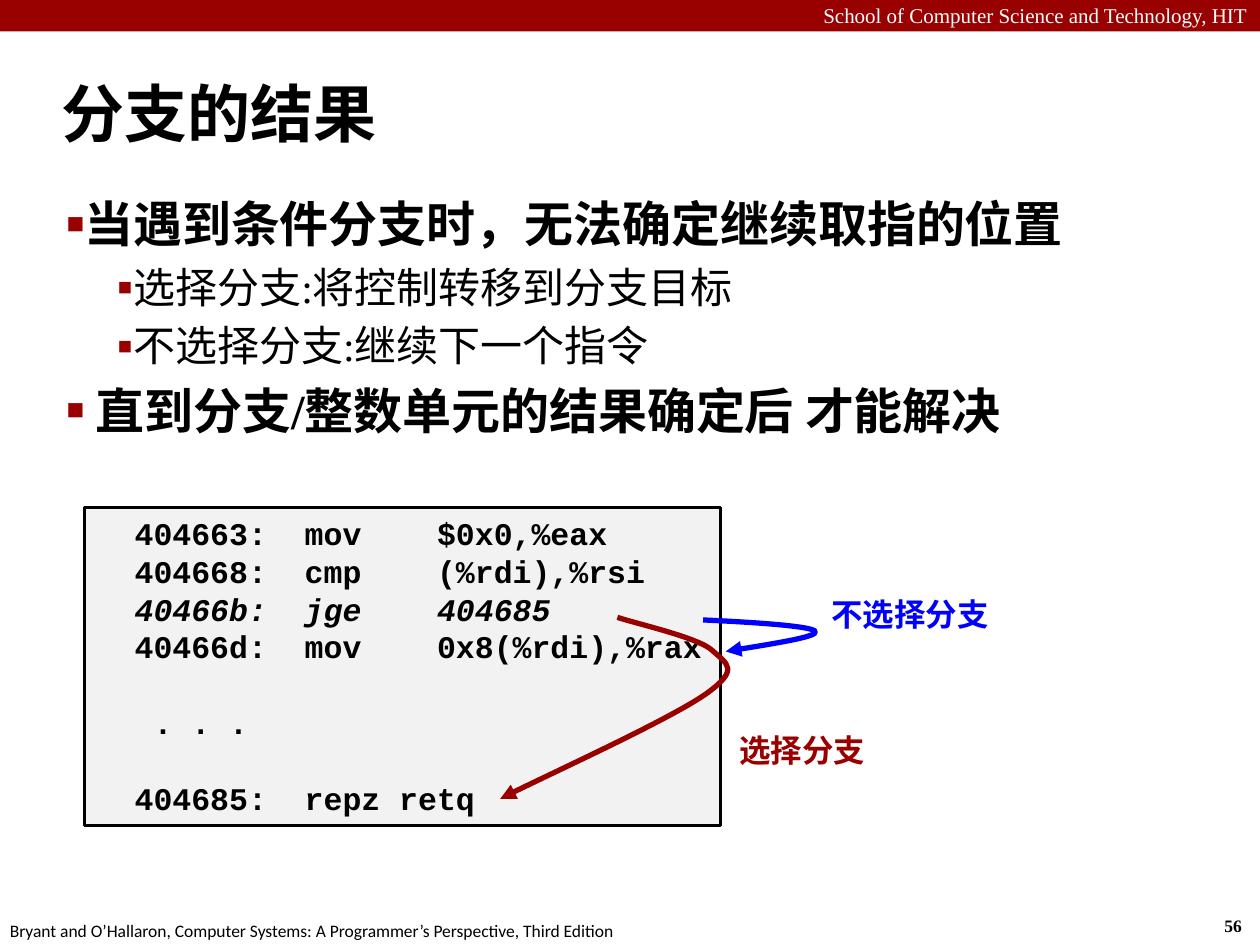
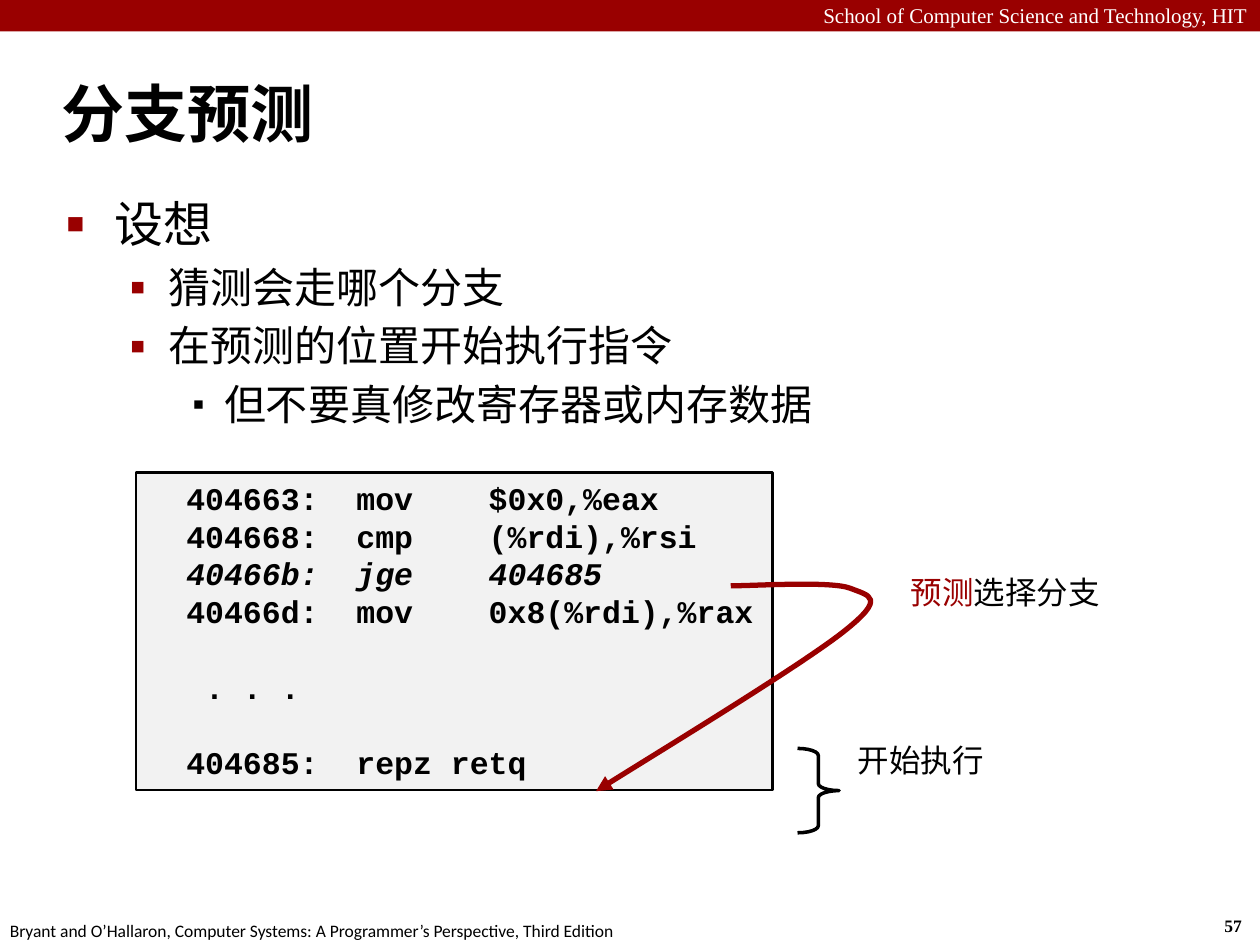
from dataclasses import dataclass

from lxml import etree
from pptx import Presentation
from pptx import util as u
from pptx.dml.color import RGBColor
from pptx.enum import lang, shapes, text
from pptx.oxml.ns import qn


@dataclass(frozen=True)
class Theme:
    red: str = "990000"
    blue: str = "0000FF"
    black: str = "000000"
    white: str = "FFFFFF"
    panel: str = "F2F2F2"
    serif: str = "Times New Roman"
    sans: str = "Calibri"
    narrow: str = "Arial Narrow"
    mono: str = "Courier New"
    title: int = 36
    body: int = 28
    detail: int = 24
    label: int = 18
    header: int = 12
    footer: int = 10
    code_leading: float = 21.6


@dataclass(frozen=True)
class Bullet:
    size: int
    margin: float
    indent: float
    mark: str
    mark_percent: int
    mark_color: str
    bold: bool = False


THEME = Theme()
HEADER = "School of Computer Science and Technology, HIT"
FOOTER = "Bryant and O’Hallaron, Computer Systems: A Programmer’s Perspective, Third Edition"

TIGHT_MAIN = Bullet(THEME.body, 0, -0.31, "■", 60, THEME.red, bold=True)
TIGHT_SUB = Bullet(THEME.detail, 0.44, -0.04, "▪", 110, THEME.red)
MAIN = Bullet(THEME.body, 0.38, -0.38, "■", 60, THEME.red)
SUB = Bullet(THEME.detail, 0.81, -0.31, "▪", 110, THEME.red)
SUB_SUB = Bullet(THEME.detail, 1.25, -0.25, "▪", 80, THEME.black)

# Each line: text, italic, blank lines above
CODE = [
    ("  404663:  mov    $0x0,%eax", False, 0),
    ("  404668:  cmp    (%rdi),%rsi", False, 0),
    ("  40466b:  jge    404685", True, 0),
    ("  40466d:  mov    0x8(%rdi),%rax", False, 0),
    ("   . . .", False, 1),
    ("  404685:  repz retq", False, 1),
]


class SlideWriter:
    def __init__(self, deck, theme):
        self.deck = deck
        self.theme = theme
        self.page = None

    def start(self, title, number):
        """Add a page with its band, header, footer, number and title."""
        t = self.theme
        self.page = self.deck.slides.add_slide(self.deck.slide_layouts[6])
        self.shape(shapes.MSO_SHAPE.RECTANGLE, (0, 0, 10, 0.25), fill=t.red)
        header = self.label((0, -0.03, 10, 0.3), [(HEADER, t.white, t.serif)], t.header, wrap=True)
        header.text_frame.paragraphs[0].alignment = text.PP_ALIGN.RIGHT
        self.label((9.62, 7.21, 0.37, 0.27), [(str(number), t.black, t.serif)], t.footer, bold=True)
        self.label((-0.02, 7.25, 5.08, 0.27), [(FOOTER, t.black, t.sans)], t.footer)
        heading = self.label((0.39, 0.48, 9.61, 0.83), [(title, t.black, t.sans)],
                             t.title, bold=True, wrap=True)
        heading.text_frame.vertical_anchor = text.MSO_ANCHOR.MIDDLE

    def span(self, para, words, size, color, font, bold=False, italic=False):
        span = para.add_run()
        span.text = words
        span.font.name = font
        span.font.size = u.Pt(size)
        span.font.bold = bold
        span.font.italic = italic
        span.font.color.rgb = RGBColor.from_string(color)
        span.font.language_id = lang.MSO_LANGUAGE_ID.SIMPLIFIED_CHINESE

    def paragraphs(self, frame, count):
        return [frame.paragraphs[0]] + [frame.add_paragraph() for _ in range(count - 1)]

    def label(self, place, spans, size, bold=False, wrap=False):
        """Add one line of text; spans are (words, color, font)."""
        box = self.page.shapes.add_textbox(*map(u.Inches, place))
        box.text_frame.word_wrap = wrap
        for words, color, font in spans:
            self.span(box.text_frame.paragraphs[0], words, size, color, font, bold)
        return box

    def bullets(self, items):
        box = self.page.shapes.add_textbox(*map(u.Inches, (0.43, 1.49, 9.4, 5.76)))
        box.text_frame.word_wrap = True
        paras = self.paragraphs(box.text_frame, len(items))
        for para, (bullet, words) in zip(paras, items):
            para.space_before = u.Pt(0.2 * bullet.size)
            self.mark(para, bullet)
            self.span(para, words, bullet.size, self.theme.black, self.theme.serif, bullet.bold)

    def mark(self, para, bullet):
        """Give a paragraph its bullet and hanging indent."""
        props = para._p.get_or_add_pPr()
        props.set("marL", str(u.Inches(bullet.margin)))
        props.set("indent", str(u.Inches(bullet.indent)))
        color = etree.SubElement(props, qn("a:buClr"))
        etree.SubElement(color, qn("a:srgbClr"), val=bullet.mark_color)
        etree.SubElement(props, qn("a:buSzPct"), val=str(bullet.mark_percent * 1000))
        etree.SubElement(props, qn("a:buFont"), typeface="Arial")
        etree.SubElement(props, qn("a:buChar"), char=bullet.mark)

    def shape(self, kind, place, fill=None, line=None, width=1.5):
        shape = self.page.shapes.add_shape(kind, *map(u.Inches, place))
        self.paint(shape, fill, line, width)
        return shape

    def paint(self, shape, fill, line, width):
        shape.shadow.inherit = False
        for part, color in ((shape.fill, fill), (shape.line.fill, line)):
            if color:
                part.solid()
                part.fore_color.rgb = RGBColor.from_string(color)
            else:
                part.background()
        if line:
            shape.line.width = u.Pt(width)

    def code(self, left, top):
        t = self.theme
        panel = self.shape(shapes.MSO_SHAPE.RECTANGLE, (left, top, 5.05, 2.52), t.panel, t.black)
        frame = panel.text_frame
        frame.word_wrap = False
        frame.vertical_anchor = text.MSO_ANCHOR.TOP
        for para, (words, italic, gap) in zip(self.paragraphs(frame, len(CODE)), CODE):
            para.alignment = text.PP_ALIGN.LEFT
            para.line_spacing = u.Pt(t.code_leading)
            para.space_before = u.Pt(gap * t.code_leading)
            self.span(para, words, t.label, t.black, t.mono, bold=True, italic=italic)

    def curved_arrow(self, points, color):
        """Draw cubic curves through a start point and triples of points."""
        (x, y), *rest = points
        builder = self.page.shapes.build_freeform(u.Inches(x), u.Inches(y))
        builder.add_line_segments([(u.Inches(x), u.Inches(y)) for x, y in rest], close=False)
        arrow = builder.convert_to_shape()
        self.paint(arrow, None, color, 3)
        outline = next(arrow._element.iter(qn("a:path")))
        segments = outline.findall(qn("a:lnTo"))
        for first in range(0, len(segments), 3):
            curve = etree.SubElement(outline, qn("a:cubicBezTo"))
            for segment in segments[first:first + 3]:
                curve.append(segment[0])
                outline.remove(segment)
        etree.SubElement(arrow.line._get_or_add_ln(), qn("a:tailEnd"), type="triangle")


def branch_outcome(writer):
    t = writer.theme
    writer.start("分支的结果", 56)
    writer.code(0.67, 4.03)
    writer.curved_arrow([(5.58, 4.92), (6.01, 4.94), (6.44, 4.97), (6.47, 5.01),
                         (6.5, 5.05), (6.13, 5.11), (5.76, 5.17)], t.blue)
    writer.label((6.5, 4.67, 1.46, 0.4), [("不选择分支", t.blue, t.sans)], t.label, bold=True)
    writer.bullets([
        (TIGHT_MAIN, "当遇到条件分支时，无法确定继续取指的位置"),
        (TIGHT_SUB, "选择分支:将控制转移到分支目标"),
        (TIGHT_SUB, "不选择分支:继续下一个指令"),
        (TIGHT_MAIN, " 直到分支/整数单元的结果确定后 才能解决"),
    ])
    writer.label((5.77, 5.75, 1.21, 0.4), [("选择分支", t.red, t.sans)], t.label, bold=True)
    writer.curved_arrow([(4.9, 4.9), (5.05, 4.95), (5.54, 5.06), (5.65, 5.16),
                         (5.77, 5.27), (5.88, 5.31), (5.6, 5.51),
                         (5.31, 5.71), (4.24, 6.2), (3.97, 6.34)], t.red)


def branch_prediction(writer):
    t = writer.theme
    writer.start("分支预测", 57)
    writer.bullets([
        (MAIN, "设想"),
        (SUB, "猜测会走哪个分支"),
        (SUB, "在预测的位置开始执行指令"),
        (SUB_SUB, "但不要真修改寄存器或内存数据"),
    ])
    brace = writer.shape(shapes.MSO_SHAPE.RIGHT_BRACE, (6.33, 5.94, 0.33, 0.67),
                         line=t.black, width=2)
    brace.adjustments[0] = 0.17
    writer.label((6.71, 5.83, 1.21, 0.4), [("开始执行", t.black, t.sans)], t.label)
    writer.code(1.08, 3.75)
    writer.label((7.13, 4.5, 1.72, 0.4),
                 [("预测", t.red, t.sans), ("选择分支", t.black, t.narrow)], t.label)
    writer.curved_arrow([(5.8, 4.65), (6, 4.65), (6.6, 4.61), (6.75, 4.67),
                         (6.9, 4.73), (7.04, 4.74), (6.7, 5.01),
                         (6.36, 5.28), (5.06, 6.07), (4.73, 6.28)], t.red)


def main():
    deck = Presentation()
    deck.slide_width, deck.slide_height = u.Inches(10), u.Inches(7.5)
    writer = SlideWriter(deck, THEME)
    branch_outcome(writer)
    branch_prediction(writer)
    deck.save("out.pptx")


if __name__ == "__main__":
    main()
